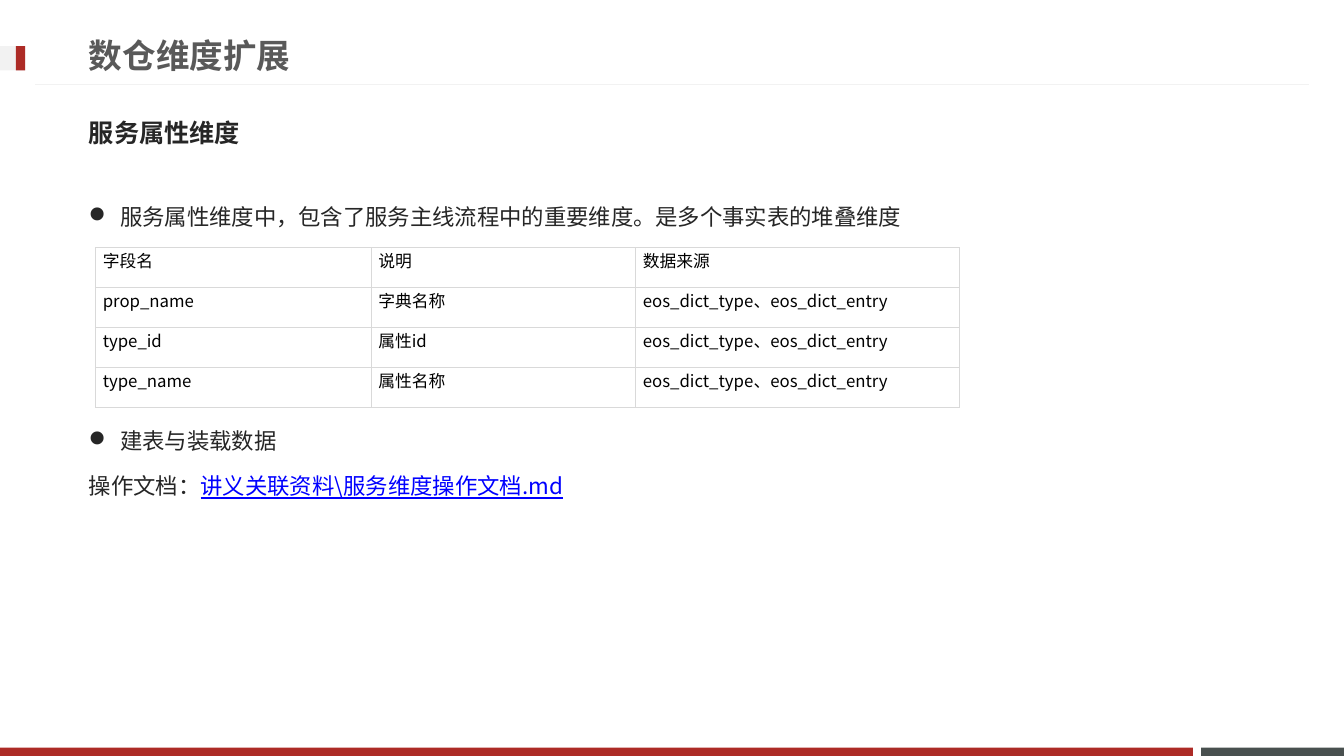
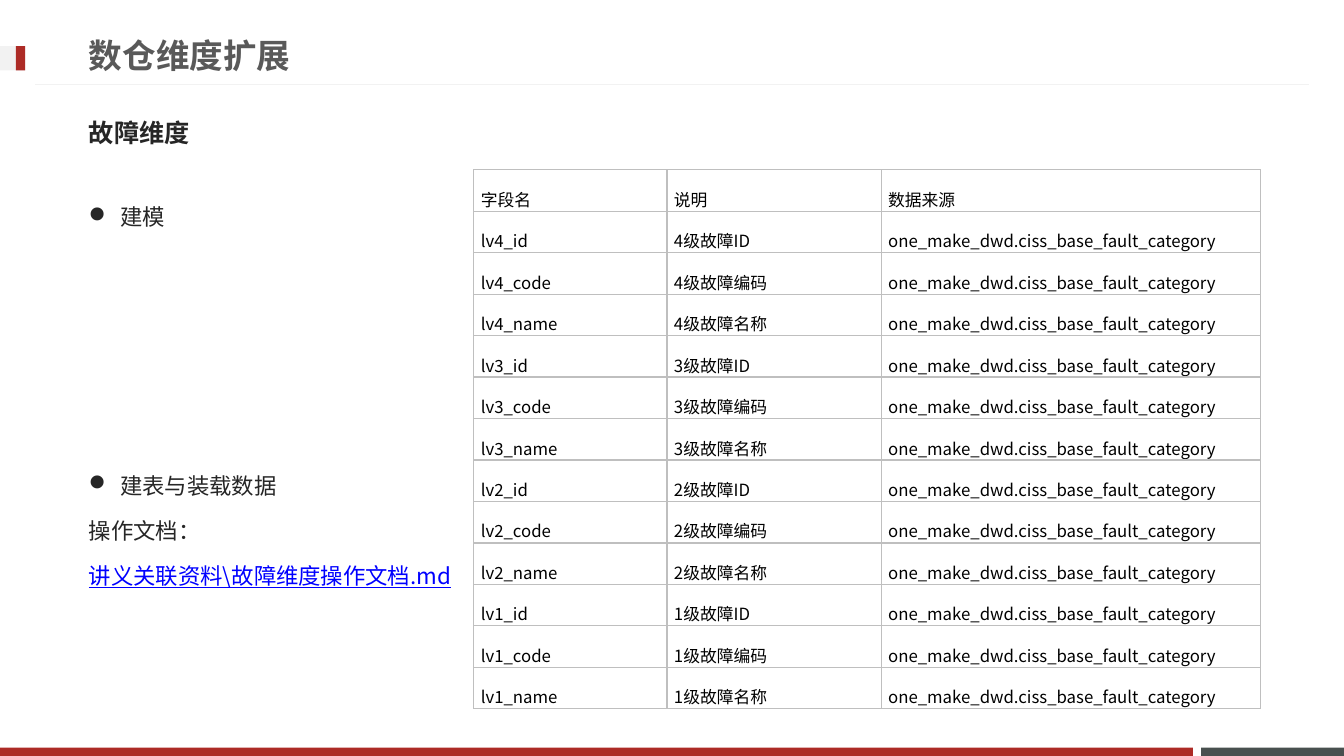
from lxml.etree import SubElement
from pptx import Presentation
from pptx.dml.color import RGBColor
from pptx.enum.shapes import MSO_CONNECTOR as Connector, MSO_SHAPE as Shape
from pptx.enum.text import MSO_ANCHOR as Anchor
from pptx.oxml.ns import qn
from pptx.util import Inches, Pt

COLUMNS, ROWS = 160, 90
CELL = Inches(1) / 12
RED, SLATE, PALE = "AD2B26", "49504F", "F2F2F2"
TITLE, INK, LINK, BLACK = "595959", "262626", "0000FF", "000000"
HEADING_FONT, BODY_FONT, TABLE_FONT = "Roboto", "Noto Sans CJK JP", "Noto Sans CJK SC"
LINE_PITCH = 32
MARGIN, TEXT_WIDTH = 9.4, 140


def color(value):
    return RGBColor.from_string(value)


def grid(*lengths):
    return [round(length * CELL) for length in lengths]


class Deck:
    """Holds the shared style and the slide being drawn."""

    def __init__(self):
        self.presentation = Presentation()
        self.presentation.slide_width, self.presentation.slide_height = grid(COLUMNS, ROWS)
        self.slide = None

    def new_slide(self, title, subtitle):
        self.slide = self.presentation.slides.add_slide(self.presentation.slide_layouts[6])
        self.band(143, 89, 17, 1, SLATE)
        self.band(0, 89, 142, 1, RED)
        self.rule(4.2, 155.8, 10.1)
        self.band(0, 5.5, 3, 2.9, PALE)
        self.band(1.9, 5.5, 1.1, 2.9, RED)
        self.heading(title, 3.1, 24, HEADING_FONT, TITLE)
        self.heading(subtitle, 12.4, 18, BODY_FONT, INK)

    def band(self, left, top, width, height, fill):
        shape = self.slide.shapes.add_shape(Shape.RECTANGLE, *grid(left, top, width, height))
        shape.shadow.inherit = False
        shape.fill.solid()
        shape.fill.fore_color.rgb = color(fill)
        shape.line.fill.background()

    def rule(self, left, right, top):
        connector = self.slide.shapes.add_connector(Connector.STRAIGHT, *grid(left, top, right, top))
        connector.line.color.rgb = color(PALE)
        connector.line.width = Pt(0.75)
        SubElement(connector._element.spPr, qn("a:effectLst"))

    def style(self, run, size, font, ink, bold=False):
        run.font.size = Pt(size)
        run.font.name = font
        run.font.bold = bold
        run.font.color.rgb = color(ink)
        east_asian = TABLE_FONT if font == HEADING_FONT else font
        SubElement(run._r.get_or_add_rPr(), qn("a:ea"), typeface=east_asian)

    def text_frame(self, top, height):
        text_frame = self.slide.shapes.add_textbox(*grid(MARGIN, top, TEXT_WIDTH, height)).text_frame
        text_frame.word_wrap = True
        return text_frame

    def heading(self, text, top, size, font, ink):
        text_frame = self.text_frame(top, 6.8)
        text_frame.vertical_anchor = Anchor.MIDDLE
        text_frame.text = text
        self.style(text_frame.paragraphs[0].runs[0], size, font, ink, True)

    def body(self, intro, gap_lines, action, document_lines):
        text_frame = self.text_frame(21.5, 55)
        lines = [[(intro, INK)], [(action, INK)], *document_lines]
        for index, line in enumerate(lines):
            paragraph = text_frame.add_paragraph() if index else text_frame.paragraphs[0]
            paragraph.line_spacing = Pt(LINE_PITCH)
            paragraph.space_before = Pt(gap_lines * LINE_PITCH if index == 1 else 0)
            if index < 2:
                self.bullet(paragraph)
            for text, ink in line:
                run = paragraph.add_run()
                run.text = text
                self.style(run, 16, BODY_FONT, ink)
                run.font.underline = ink == LINK

    def bullet(self, paragraph):
        properties = paragraph._p.get_or_add_pPr()
        properties.set("marL", str(Inches(0.31)))
        properties.set("indent", str(-Inches(0.31)))
        SubElement(properties, qn("a:buFont"), typeface="Wingdings", charset="2")
        SubElement(properties, qn("a:buChar"), char="l")

    def table(self, left, top, widths, row_height, rows, border, spacing=1.0):
        frame = self.slide.shapes.add_table(
            len(rows), len(widths), *grid(left, top, sum(widths), row_height * len(rows)))
        table = frame.table
        table.first_row = table.horz_banding = False
        for column, width in zip(table.columns, grid(*widths)):
            column.width = width
        for row, texts in zip(table.rows, rows):
            row.height = grid(row_height)[0]
            for cell, text in zip(row.cells, texts):
                self.cell(cell, text, border, spacing)

    def cell(self, cell, text, border, spacing):
        cell.margin_left = cell.margin_right = Inches(0.07)
        cell.margin_top = cell.margin_bottom = 0
        cell.text_frame.text = text
        paragraph = cell.text_frame.paragraphs[0]
        paragraph.line_spacing = spacing
        self.style(paragraph.runs[0], 12, TABLE_FONT, BLACK)
        properties = cell._tc.get_or_add_tcPr()
        for side in ("lnL", "lnR", "lnT", "lnB"):
            line = SubElement(properties, qn(f"a:{side}"), w=str(Pt(1)))
            SubElement(SubElement(line, qn("a:solidFill")), qn("a:srgbClr"), val=border)
        cell.fill.background()


def main():
    deck = Deck()
    title, action, document_label = "数仓维度扩展", "建表与装载数据", "操作文档："
    header = ("字段名", "说明", "数据来源")

    deck.new_slide(title, "服务属性维度")
    deck.body("服务属性维度中，包含了服务主线流程中的重要维度。是多个事实表的堆叠维度", 4, action,
              [[(document_label, INK), ("讲义关联资料\\服务维度操作文档.md", LINK)]])
    fields = [("prop_name", "字典名称"), ("type_id", "属性id"), ("type_name", "属性名称")]
    rows = [header] + [(*field, "eos_dict_type、eos_dict_entry") for field in fields]
    deck.table(11.4, 29.5, (32.8, 31.5, 38.5), 4.76, rows, "D9D9D9")

    deck.new_slide(title, "故障维度")
    deck.body("建模", 5, action,
              [[(document_label, INK)], [("讲义关联资料\\故障维度操作文档.md", LINK)]])
    kinds = [("id", "ID"), ("code", "编码"), ("name", "名称")]
    rows = [header] + [
        (f"lv{level}_{field}", f"{level}级故障{label}", "one_make_dwd.ciss_base_fault_category")
        for level in (4, 3, 2, 1) for field, label in kinds]
    deck.table(56.4, 20.2, (23, 25.5, 45.2), 4.94, rows, "BFBFBF", 1.7)

    deck.presentation.save("out.pptx")


if __name__ == "__main__":
    main()
